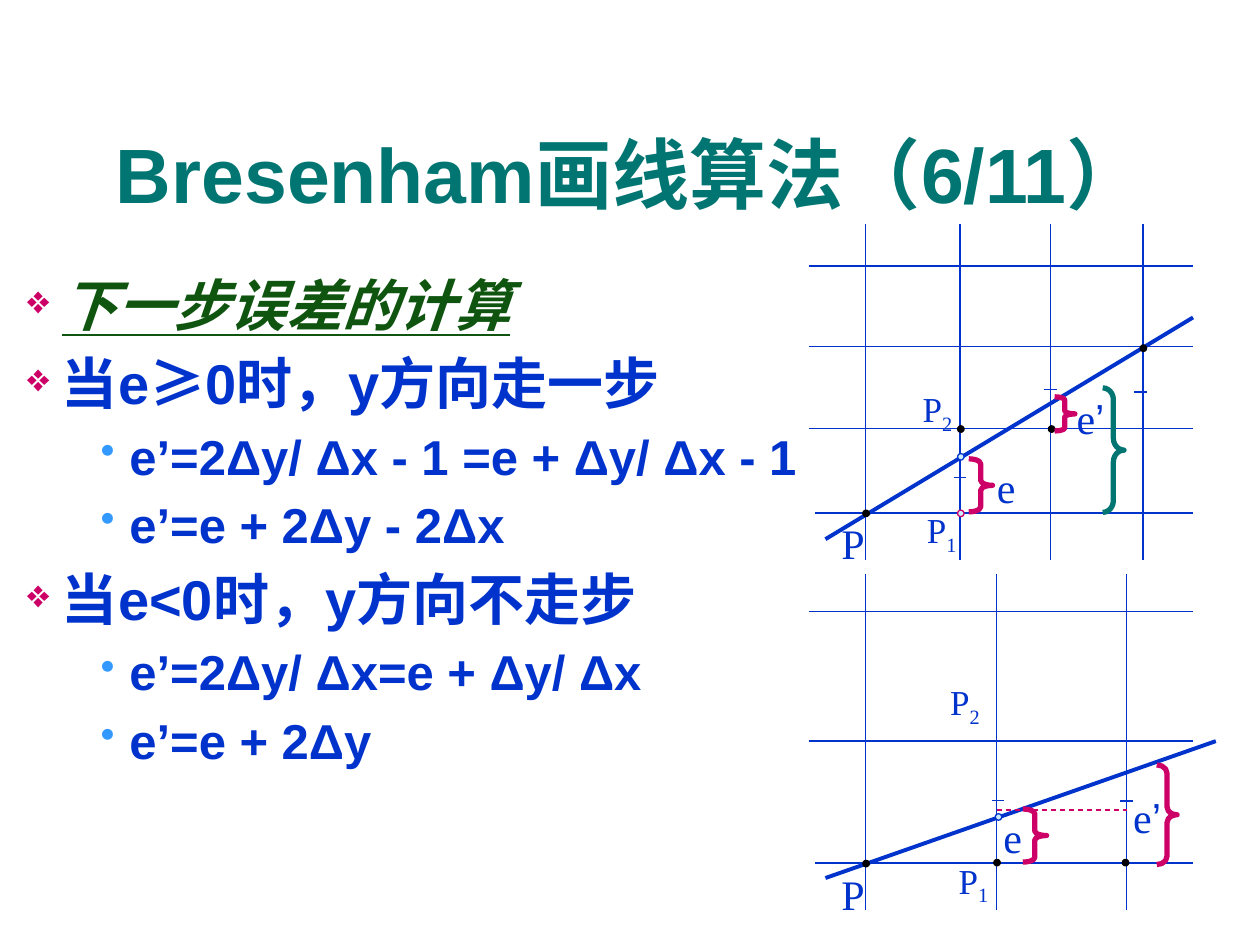
"""Build the slide on the error update step of Bresenham line drawing."""
from lxml.etree import SubElement
from pptx import Presentation
from pptx.dml.color import RGBColor
from pptx.enum.dml import MSO_LINE
from pptx.enum.shapes import MSO_CONNECTOR, MSO_SHAPE
from pptx.enum.text import MSO_ANCHOR, MSO_AUTO_SIZE, PP_ALIGN
from pptx.oxml.ns import qn
from pptx.util import Cm, Pt

COLORS = {
    "blue": "0033CC", "teal": "007572", "green": "0F550F", "pink": "CC0066",
    "sky": "3399FF", "pale": "CCECFF", "black": "000000",
}
CJK_FONT = "Noto Sans CJK SC"


def style(para, size, color, font, space=0, bullet=None):
    properties = para._p.get_or_add_pPr()
    if space:
        before = SubElement(properties, qn("a:spcBef"))
        SubElement(before, qn("a:spcPct"), val=str(space * 1000))
    if bullet:
        symbol, bullet_color, percent = bullet
        tint = SubElement(properties, qn("a:buClr"))
        SubElement(tint, qn("a:srgbClr"), val=COLORS[bullet_color])
        SubElement(properties, qn("a:buSzPct"), val=str(percent * 1000))
        SubElement(properties, qn("a:buChar"), char=symbol)
    para.font.size = Pt(size)
    para.font.color.rgb = RGBColor.from_string(COLORS[color])
    para.font.name = font
    SubElement(properties.find(qn("a:defRPr")), qn("a:ea"), typeface=CJK_FONT)


def draw_line(x1, y1, x2, y2, color="blue", width=0.75):
    line = page.shapes.add_connector(
        MSO_CONNECTOR.STRAIGHT, Cm(x1), Cm(y1), Cm(x2), Cm(y2))
    line.line.color.rgb = RGBColor.from_string(COLORS[color])
    line.line.width = Pt(width)
    SubElement(line._element.spPr, qn("a:effectLst"))
    return line


deck = Presentation()
deck.slide_width, deck.slide_height = Cm(25.4), Cm(19.05)
page = deck.slides.add_slide(deck.slide_layouts[6])

title = page.shapes.add_textbox(Cm(0.84), Cm(1.9), Cm(23.72), Cm(3.18)).text_frame
title.word_wrap = True
title.vertical_anchor = MSO_ANCHOR.MIDDLE
heading = title.paragraphs[0]
heading.text = "Bresenham画线算法（6/11）"
heading.alignment = PP_ALIGN.CENTER
style(heading, 44, "teal", "Arial")
heading.font.bold = True

body = page.shapes.add_textbox(Cm(0.3), Cm(5.33), Cm(17.2), Cm(12.4)).text_frame
body.word_wrap = True
levels = [
    {"size": 32, "margin": 0.7, "indent": -0.7, "bullet": ("❖", "pink", 70)},
    {"size": 28, "margin": 2.06, "indent": -0.58, "bullet": ("•", "sky", 85)},
]
steps = [
    (0, ["下一步误差的计算"]),
    (0, ["当e", "≥", "0时，y方向走一步"]),
    (1, ["e’=2Δy/ Δx - 1 =e + Δy/ Δx - 1"]),
    (1, ["e’=e + 2Δy - 2Δx"]),
    (0, ["当e<0时，y方向不走步"]),
    (1, ["e’=2Δy/ Δx=e + Δy/ Δx"]),
    (1, ["e’=e + 2Δy"]),
]
for number, (level, parts) in enumerate(steps):
    para = body.add_paragraph() if number else body.paragraphs[0]
    look = levels[level]
    para.level = level
    para._p.get_or_add_pPr().set("marL", str(Cm(look["margin"])))
    para._p.pPr.set("indent", str(Cm(look["indent"])))
    style(para, look["size"], "blue" if number else "green", "Arial", 20, look["bullet"])
    para.font.bold = True
    if number == 0:
        para.font.italic = para.font.underline = True
    for part in parts:
        span = para.add_run()
        span.text = part
        if part == "≥":
            span.font.name = CJK_FONT

diagrams = [
    {
        "top": 4.52,
        "columns": [17.45, 19.35, 21.18, 23.04],
        "rows": [(16.31, 5.36), (16.31, 6.99), (16.31, 8.64), (16.43, 10.34)],
        "slope": (16.64, 10.87, 24.05, 6.4),
        "ticks": [(19.35, 9.63), (21.18, 7.85), (22.99, 7.9)],
        "dots": [
            (19.37, 9.21, "pale", "blue"), (19.37, 8.65, "black", "black"),
            (21.2, 8.65, "black", "black"), (23.05, 7.02, "black", "black"),
            (17.46, 10.35, "black", "black"), (19.37, 10.35, "pale", "pink"),
        ],
        "braces": [
            (19.53, 9.25, 0.48, 1.07, 0.21, "pink"),
            (21.26, 8, 0.41, 0.69, 0.15, "pink"),
            (22.23, 7.82, 0.43, 2.51, 0.55, "teal"),
        ],
        "labels": [
            ("e", "", 19.56, 9.3, 1.45), ("P", "1", 18.31, 10.26, 1.35),
            ("P", "2", 18.34, 7.82, 1.12), ("P", "", 16.71, 10.44, 0.97),
            ("e", "’", 21.26, 7.92, 1.45),
        ],
    },
    {
        "top": 11.58,
        "columns": [17.45, 20.09, 22.71],
        "rows": [(16.31, 12.32), (16.31, 14.94), (16.43, 17.4)],
        "slope": (16.64, 17.7, 24.51, 14.94),
        "ticks": [(20.12, 16.13), (22.71, 16.15)],
        "dots": [
            (20.13, 16.47, "pale", "blue"), (20.1, 17.39, "black", "black"),
            (22.69, 17.39, "black", "black"), (17.46, 17.41, "black", "black"),
        ],
        "braces": [
            (20.62, 16.31, 0.48, 1.07, 0.19, "pink"),
            (23.32, 15.42, 0.41, 2.01, 0.4, "pink"),
        ],
        "labels": [
            ("e", "", 19.69, 16.36, 1.45), ("P", "1", 18.95, 17.32, 1.35),
            ("P", "2", 18.82, 13.72, 1.27), ("P", "", 16.71, 17.5, 0.97),
            ("e", "’", 22.4, 15.95, 1.45),
        ],
    },
]
grid_right, grid_height, tick, dot = 24.05, 6.76, 0.25, 0.13

for diagram in diagrams:
    for left, y in diagram["rows"]:
        draw_line(left, y, grid_right, y)
    for x in diagram["columns"]:
        draw_line(x, diagram["top"], x, diagram["top"] + grid_height)
    draw_line(*diagram["slope"], width=2.25)
    for x, y in diagram["ticks"]:
        draw_line(x - tick / 2, y, x + tick / 2, y)
    for x, y, fill, outline in diagram["dots"]:
        point = page.shapes.add_shape(
            MSO_SHAPE.OVAL, Cm(x - dot / 2), Cm(y - dot / 2), Cm(dot), Cm(dot))
        point.shadow.inherit = False
        point.fill.solid()
        point.fill.fore_color.rgb = RGBColor.from_string(COLORS[fill])
        point.line.color.rgb = RGBColor.from_string(COLORS[outline])
        point.line.width = Pt(0.75)
    for x, y, width, height, curve, color in diagram["braces"]:
        brace = page.shapes.add_shape(
            MSO_SHAPE.RIGHT_BRACE, Cm(x), Cm(y), Cm(width), Cm(height))
        brace.shadow.inherit = False
        brace.adjustments[0] = curve
        brace.fill.background()
        brace.line.color.rgb = RGBColor.from_string(COLORS[color])
        brace.line.width = Pt(3)
    for letter, mark, x, y, width in diagram["labels"]:
        size = 20 if mark.isdigit() else 24
        box = page.shapes.add_textbox(Cm(x), Cm(y), Cm(width), Cm(size * 0.0424))
        frame = box.text_frame
        frame.word_wrap = True
        frame.auto_size = MSO_AUTO_SIZE.SHAPE_TO_FIT_TEXT
        frame.margin_left = frame.margin_right = frame.margin_top = frame.margin_bottom = 0
        para = frame.paragraphs[0]
        para.alignment = PP_ALIGN.CENTER
        style(para, size, "blue", "Times New Roman", 50)
        para.add_run().text = letter
        if mark:
            span = para.add_run()
            span.text = mark
            if mark.isdigit():
                span.font._element.set("baseline", "-25000")
            else:
                span.font.name = "Arial"

error_level = draw_line(20.09, 16.33, 22.71, 16.33, "pink")
error_level.line.dash_style = MSO_LINE.DASH

deck.save("out.pptx")
